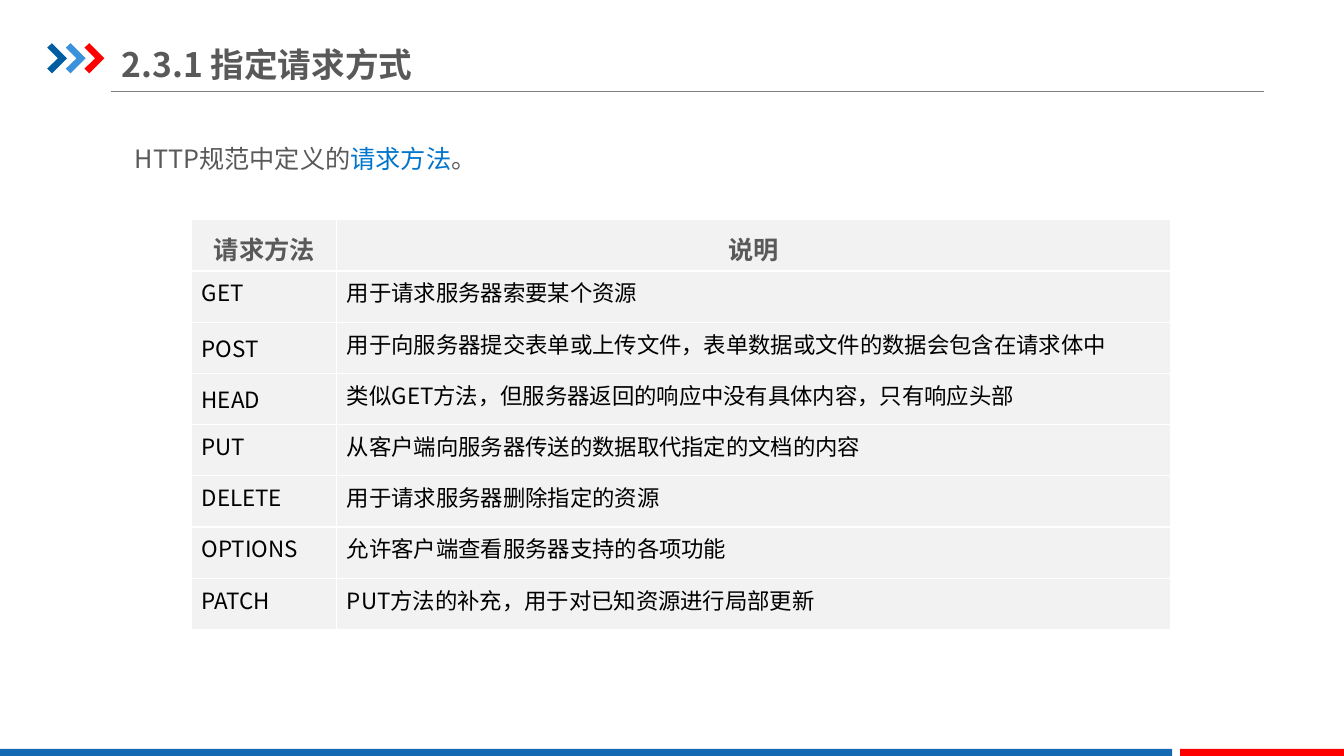
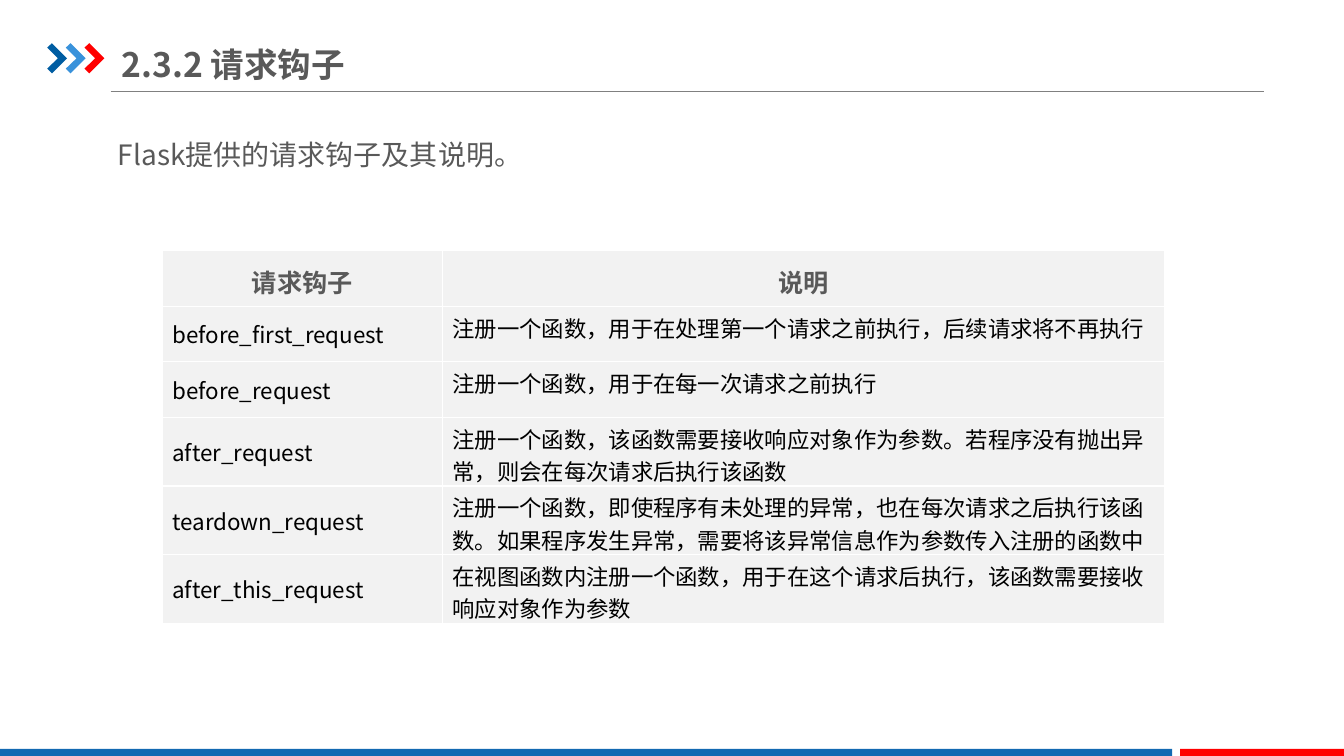
from lxml.etree import SubElement
from pptx import Presentation
from pptx.dml.color import RGBColor
from pptx.enum.shapes import MSO_CONNECTOR, MSO_SHAPE
from pptx.enum.text import MSO_ANCHOR, MSO_AUTO_SIZE, PP_ALIGN
from pptx.oxml import parse_xml
from pptx.oxml.ns import nsdecls, qn
from pptx.util import Cm, Pt

FONT = "Noto Sans CJK SC"
GREY, BLACK, WHITE = "595959", "000000", "FFFFFF"
LINK_BLUE, CELL_GREY, RULE_GREY = "0075CC", "F2F2F2", "808080"
FOOTER_BLUE, RED = "1369B2", "FF0000"
CHEVRON_COLORS = ["005DA2", "3992DB", RED]
CHEVRON_POINTS = [(0, 0.11), (0.12, 0), (0.5, 0.38), (0.12, 0.76), (0, 0.64), (0.27, 0.38)]

METHODS = [
    ("请求方法", "说明"),
    ("GET", "用于请求服务器索要某个资源"),
    ("POST", "用于向服务器提交表单或上传文件，表单数据或文件的数据会包含在请求体中"),
    ("HEAD", "类似GET方法，但服务器返回的响应中没有具体内容，只有响应头部"),
    ("PUT", "从客户端向服务器传送的数据取代指定的文档的内容"),
    ("DELETE", "用于请求服务器删除指定的资源"),
    ("OPTIONS", "允许客户端查看服务器支持的各项功能"),
    ("PATCH", "PUT方法的补充，用于对已知资源进行局部更新"),
]
HOOKS = [
    ("请求钩子", "说明"),
    ("before_first_request", "注册一个函数，用于在处理第一个请求之前执行，后续请求将不再执行"),
    ("before_request", "注册一个函数，用于在每一次请求之前执行"),
    ("after_request", "注册一个函数，该函数需要接收响应对象作为参数。若程序没有抛出异常，则会在每次请求后执行该函数"),
    ("teardown_request", "注册一个函数，即使程序有未处理的异常，也在每次请求之后执行该函数。"
                         "如果程序发生异常，需要将该异常信息作为参数传入注册的函数中"),
    ("after_this_request", "在视图函数内注册一个函数，用于在这个请求后执行，该函数需要接收响应对象作为参数"),
]


def rgb(color):
    """Turn a hex string into a colour."""
    return RGBColor.from_string(color)


def write_text(paragraph, text, size=16, color=BLACK, bold=False, align=None, spacing=None):
    """Append a formatted run to a paragraph."""
    run = paragraph.add_run()
    run.text = text
    run.font.size = Pt(size)
    run.font.bold = bold
    run.font.color.rgb = rgb(color)
    run.font.name = FONT
    SubElement(run._r.get_or_add_rPr(), qn("a:ea"), typeface=FONT)
    if align is not None:
        paragraph.alignment = align
    if spacing is not None:
        paragraph.line_spacing = spacing


def paint(shape, color):
    """Give a shape a plain fill without line or shadow."""
    shape.shadow.inherit = False
    shape.fill.solid()
    shape.fill.fore_color.rgb = rgb(color)
    shape.line.fill.background()


def add_text_frame(slide, left, top, width, height):
    """Add a wrapping text box and return its text frame."""
    frame = slide.shapes.add_textbox(Cm(left), Cm(top), Cm(width), Cm(height)).text_frame
    frame.word_wrap = True
    return frame


def add_chevrons(slide):
    """Add the group of three chevrons beside the title."""
    group = slide.shapes.add_group_shape()
    for index, color in enumerate(CHEVRON_COLORS):
        points = [(Cm(1.19 + 0.47 * index + x), Cm(1.09 + y)) for x, y in CHEVRON_POINTS]
        builder = group.shapes.build_freeform(*points[0])
        builder.add_line_segments(points[1:], close=True)
        paint(builder.convert_to_shape(), color)


def add_rule(slide):
    """Add the thin line under the title."""
    rule = slide.shapes.add_connector(MSO_CONNECTOR.STRAIGHT, Cm(2.79), Cm(2.31), Cm(31.85), Cm(2.31))
    rule.line.color.rgb = rgb(RULE_GREY)
    rule.line.width = Pt(0.75)
    SubElement(rule._element.spPr, qn("a:effectLst"))


def add_footer_band(slide, left, width, color):
    """Add one band along the bottom edge."""
    paint(slide.shapes.add_shape(MSO_SHAPE.RECTANGLE, Cm(left), Cm(18.87), Cm(width), Cm(0.18)), color)


def add_framed_slide(presentation, title):
    """Add a slide with the shared decoration and its title."""
    slide = presentation.slides.add_slide(presentation.slide_layouts[6])
    add_rule(slide)
    add_chevrons(slide)
    add_footer_band(slide, 0, 29.54, FOOTER_BLUE)
    add_footer_band(slide, 29.74, 4.13, RED)
    frame = add_text_frame(slide, 3.07, 0.91, 12.09, 1.4)
    frame.vertical_anchor = MSO_ANCHOR.MIDDLE
    frame.margin_left = frame.margin_right = 0
    frame.margin_top = frame.margin_bottom = Cm(0.18)
    write_text(frame.paragraphs[0], title, size=24, color=GREY, bold=True)
    return slide


def add_introduction(slide, left, top, size, parts):
    """Add the lead sentence from pairs of text and colour."""
    frame = add_text_frame(slide, left, top, 27.99, 1.4)
    frame.auto_size = MSO_AUTO_SIZE.SHAPE_TO_FIT_TEXT
    for text, color in parts:
        write_text(frame.paragraphs[0], text, size=size, color=color, align=PP_ALIGN.JUSTIFY, spacing=1.5)


def set_borders(cell):
    """Draw white lines on all four sides of a cell."""
    properties = cell._tc.get_or_add_tcPr()
    for index, side in enumerate("LRTB"):
        properties.insert(index, parse_xml(
            f'<a:ln{side} {nsdecls("a")} w="12700"><a:solidFill>'
            f'<a:srgbClr val="{WHITE}"/></a:solidFill></a:ln{side}>'))


def fill_cell(cell, text, header, middle):
    """Format one table cell and write its text."""
    set_borders(cell)
    cell.fill.solid()
    cell.fill.fore_color.rgb = rgb(CELL_GREY)
    cell.vertical_anchor = MSO_ANCHOR.MIDDLE if header or middle else MSO_ANCHOR.TOP
    paragraph = cell.text_frame.paragraphs[0]
    if header:
        cell.margin_left = cell.margin_right = Cm(0.18)
        cell.margin_top = cell.margin_bottom = 0
        write_text(paragraph, text, size=18, color=GREY, bold=True, align=PP_ALIGN.CENTER, spacing=1.15)
    else:
        write_text(paragraph, text)


def add_definition_table(slide, left, top, widths, heights, rows, middle_names):
    """Add a table of names and their explanations."""
    table = slide.shapes.add_table(len(rows), len(widths), Cm(left), Cm(top),
                                   Cm(sum(widths)), Cm(sum(heights))).table
    table.horz_banding = False
    for column, width in zip(table.columns, widths):
        column.width = Cm(width)
    for row_index, (row, height) in enumerate(zip(table.rows, heights)):
        row.height = Cm(height)
        for cell, text in zip(row.cells, rows[row_index]):
            fill_cell(cell, text, header=row_index == 0, middle=text in middle_names)


def main():
    """Build both slides and save the presentation."""
    presentation = Presentation()
    presentation.slide_width, presentation.slide_height = Cm(33.87), Cm(19.05)

    slide = add_framed_slide(presentation, "2.3.1 指定请求方式")
    add_introduction(slide, 3.15, 3.1, 18,
                     [("HTTP规范中定义的", GREY), ("请求方法", LINK_BLUE), ("。", GREY)])
    add_definition_table(slide, 4.83, 5.54, [3.66, 21.01], [1.29] * len(METHODS), METHODS,
                         {"POST", "HEAD"})

    slide = add_framed_slide(presentation, "2.3.2 请求钩子")
    add_introduction(slide, 2.72, 2.92, 20, [("Flask提供的请求钩子及其说明。", GREY)])
    add_definition_table(slide, 4.09, 6.32, [7.06, 18.21], [1.4] * 3 + [1.73] * 3, HOOKS,
                         {name for name, _ in HOOKS})

    presentation.save("out.pptx")


if __name__ == "__main__":
    main()
